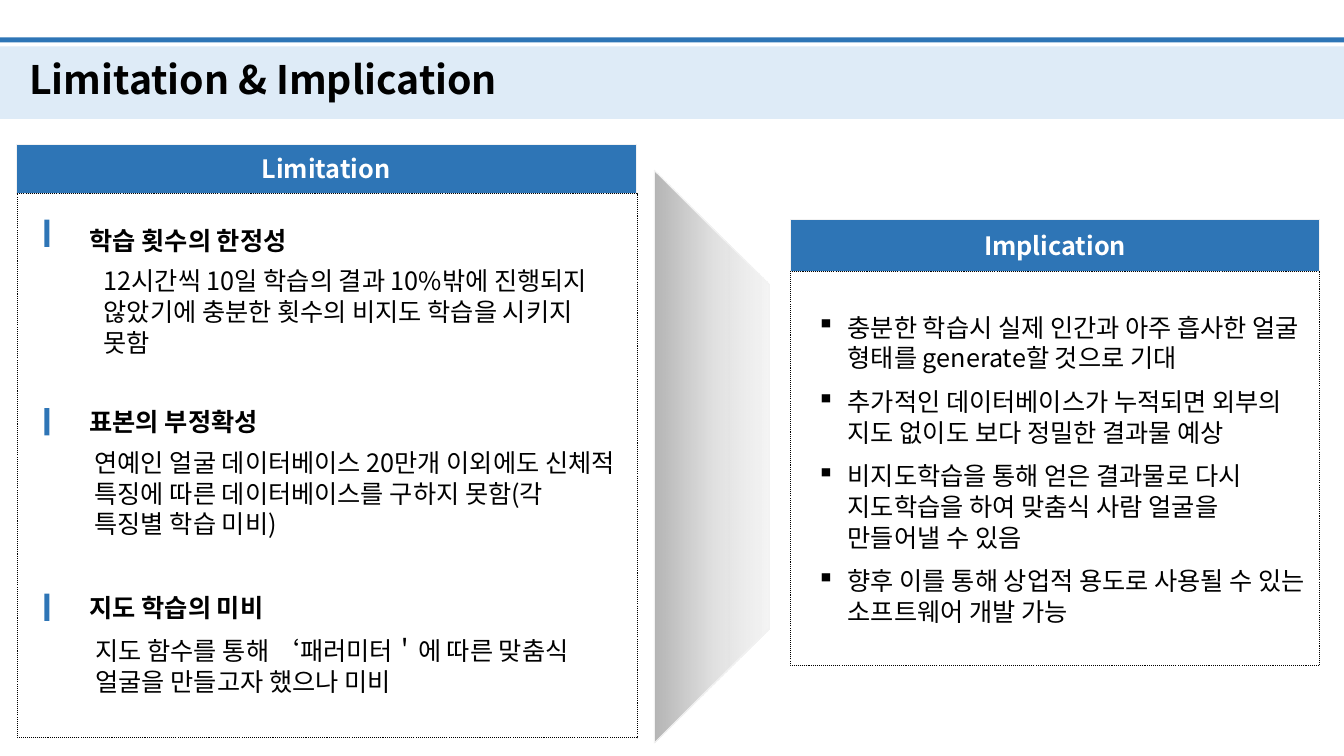
from pptx import Presentation
from pptx.dml.color import RGBColor
from pptx.enum.dml import MSO_LINE
from pptx.enum.shapes import MSO_SHAPE
from pptx.enum.text import MSO_ANCHOR, MSO_AUTO_SIZE, PP_ALIGN
from pptx.oxml import parse_xml
from pptx.oxml.ns import qn
from pptx.util import Inches, Pt

RECTANGLE = MSO_SHAPE.RECTANGLE
TRAPEZOID = MSO_SHAPE.FLOWCHART_MANUAL_OPERATION
DOTTED = MSO_LINE.ROUND_DOT
MIDDLE = MSO_ANCHOR.MIDDLE
CENTER = PP_ALIGN.CENTER
NO_AUTOFIT = MSO_AUTO_SIZE.NONE
FONT = "Noto Sans CJK KR"
NAMESPACE = "http://schemas.openxmlformats.org/drawingml/2006/main"
BLUE, PALE_BLUE, PALE_GRAY = "2E75B6", "DEEBF7", "F2F2F2"
BLACK, WHITE = "000000", "FFFFFF"

presentation = Presentation()
presentation.slide_width = Inches(13.33)
presentation.slide_height = Inches(7.5)
slide = presentation.slides.add_slide(presentation.slide_layouts[5])


def add_box(place, fill=None, line=None, kind=RECTANGLE):
    shape = slide.shapes.add_shape(kind, *map(Inches, place))
    shape.shadow.inherit = False
    for part, color in ((shape.fill, fill), (shape.line.fill, line)):
        if color:
            part.solid()
            part.fore_color.rgb = RGBColor.from_string(color)
        else:
            part.background()
    if line:
        shape.line.width = Pt(0.75)
    return shape


def write(paragraph, text, size=18, bold=False, color=BLACK):
    run = paragraph.add_run()
    run.text = text
    formats = {"name": FONT, "size": Pt(size), "bold": bold}
    for name, value in formats.items():
        setattr(run.font, name, value)
    run.font.color.rgb = RGBColor.from_string(color)
    latin = run.font._element.find(qn("a:latin"))
    latin.addnext(parse_xml(f'<a:ea xmlns:a="{NAMESPACE}" typeface="{FONT}"/>'))


panels = [
    ("Limitation", (0.16, 1.43, 6.15, 0.49), (0.17, 1.92, 6.15, 5.4)),
    ("Implication", (7.84, 2.18, 5.25, 0.51), (7.84, 2.69, 5.25, 3.91)),
]
for heading, header_place, frame_place in panels:
    header = add_box(header_place, BLUE, PALE_GRAY)
    header.text_frame.vertical_anchor = MIDDLE
    paragraph = header.text_frame.paragraphs[0]
    paragraph.alignment = CENTER
    write(paragraph, heading, bold=True, color=WHITE)
    frame = add_box(frame_place, line=BLACK)
    frame.line.dash_style = DOTTED

arrow = add_box((4.22, 3.96, 5.68, 1.14), line=PALE_GRAY, kind=TRAPEZOID)
arrow.rotation = 270
stops = "".join(
    f'<a:gs pos="{position * 1000}"><a:srgbClr val="{color}">'
    f'<a:alpha val="{opacity * 1000}"/></a:srgbClr></a:gs>'
    for position, color, opacity in ((0, "A6A6A6", 83), (50, "D9D9D9", 81), (100, PALE_GRAY, 72))
)
gradient = parse_xml(
    f'<a:gradFill xmlns:a="{NAMESPACE}" rotWithShape="1"><a:gsLst>{stops}</a:gsLst>'
    '<a:lin ang="5400000" scaled="0"/></a:gradFill>'
)
no_fill = arrow.element.spPr.find(qn("a:noFill"))
no_fill.getparent().replace(no_fill, gradient)

add_box((0, 0.37, 13.33, 0.05), BLUE)
add_box((0, 0.46, 13.33, 0.72), PALE_BLUE)

title = slide.shapes.title
title.element.getparent().append(title.element)
title_place = {"left": 0.19, "top": 0.5, "width": 4.85, "height": 0.57}
for name, value in title_place.items():
    setattr(title, name, Inches(value))
title_format = {"vertical_anchor": MIDDLE, "word_wrap": False, "auto_size": NO_AUTOFIT}
for name, value in title_format.items():
    setattr(title.text_frame, name, value)
title_paragraph = title.text_frame.paragraphs[0]
title_paragraph.alignment = PP_ALIGN.LEFT
write(title_paragraph, "Limitation & Implication", 28, True)

implications = [
    "충분한 학습시 실제 인간과 아주 흡사한 얼굴 형태를 generate할 것으로 기대",
    "추가적인 데이터베이스가 누적되면 외부의 지도 없이도 보다 정밀한 결과물 예상",
    "비지도학습을 통해 얻은 결과물로 다시 지도학습을 하여 맞춤식 사람 얼굴을 만들어낼 수 있음",
    "향후 이를 통해 상업적 용도로 사용될 수 있는 소프트웨어 개발 가능",
]
implication_box = slide.shapes.add_textbox(Inches(8), Inches(3.04), Inches(5.09), Inches(3.53))
implication_box.text_frame.word_wrap = True
for index, text in enumerate(implications):
    if index:
        paragraph = implication_box.text_frame.add_paragraph()
    else:
        paragraph = implication_box.text_frame.paragraphs[0]
    properties = paragraph._p.get_or_add_pPr()
    properties.set("marL", str(Inches(0.31)))
    properties.set("indent", str(-Inches(0.31)))
    properties.append(parse_xml(f'<a:buChar xmlns:a="{NAMESPACE}" char="▪"/>'))
    paragraph.line_spacing = Pt(22)
    paragraph.space_before = Pt(9 if index else 0)
    write(paragraph, text)

limitations = [
    (2.18, 2.18, "학습 횟수의 한정성", (0.93, 2.58, 5.28, 1.01),
     "12시간씩 10일 학습의 결과 10%밖에 진행되지 않았기에 충분한 횟수의 비지도 학습을 시키지 못함"),
    (4.05, 3.98, "표본의 부정확성", (0.84, 4.38, 5.37, 1.01),
     "연예인 얼굴 데이터베이스 20만개 이외에도 신체적 특징에 따른 데이터베이스를 구하지 못함(각 특징별 학습 미비)"),
    (5.89, 5.82, "지도 학습의 미비", (0.85, 6.25, 5.17, 0.71),
     "지도 함수를 통해 ‘패러미터＇에 따른 맞춤식 얼굴을 만들고자 했으나 미비"),
]
for marker_top, heading_top, heading, detail_place, detail in limitations:
    add_box((0.44, marker_top, 0.05, 0.27), BLUE)
    heading_place = (0.79, heading_top, 3.92, 0.4)
    for place, text, bold in ((heading_place, heading, True), (detail_place, detail, False)):
        text_box = slide.shapes.add_textbox(*map(Inches, place))
        text_box.text_frame.word_wrap = True
        paragraph = text_box.text_frame.paragraphs[0]
        paragraph.line_spacing = Pt(22)
        write(paragraph, text, bold=bold)

presentation.save("out.pptx")
